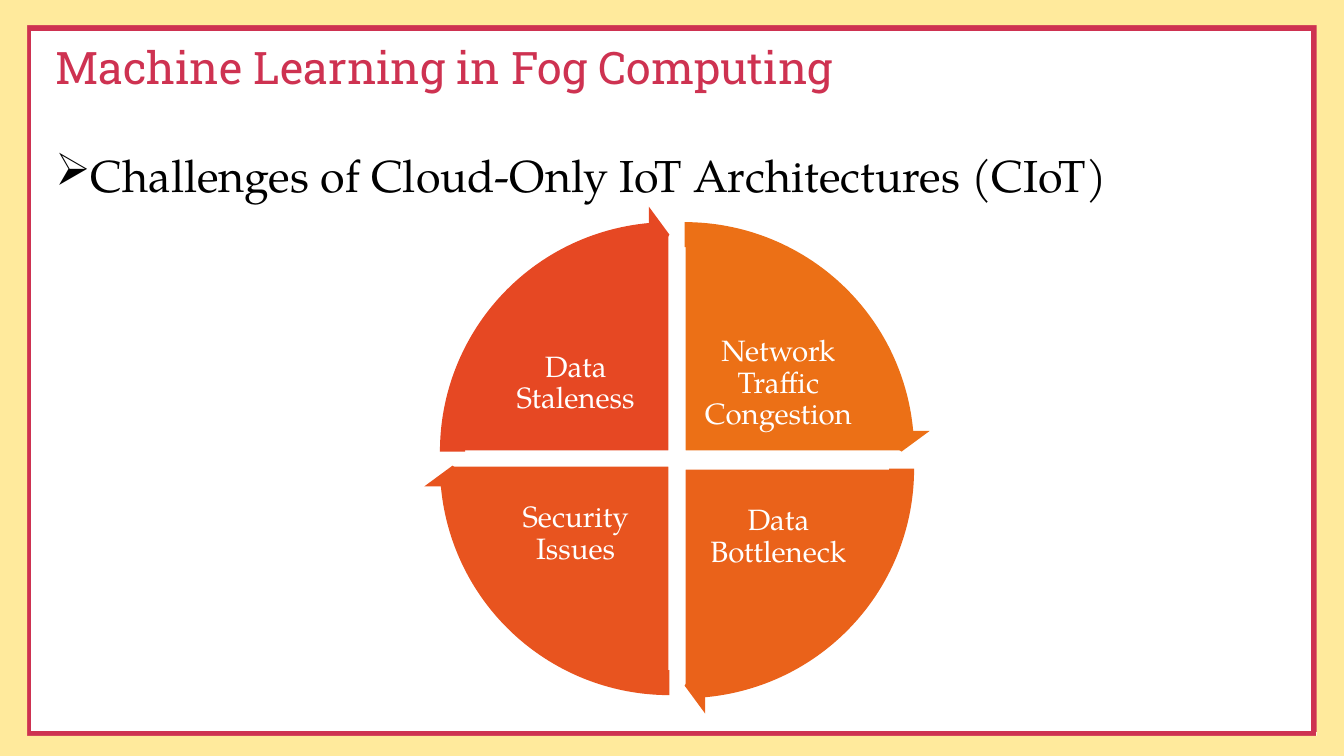
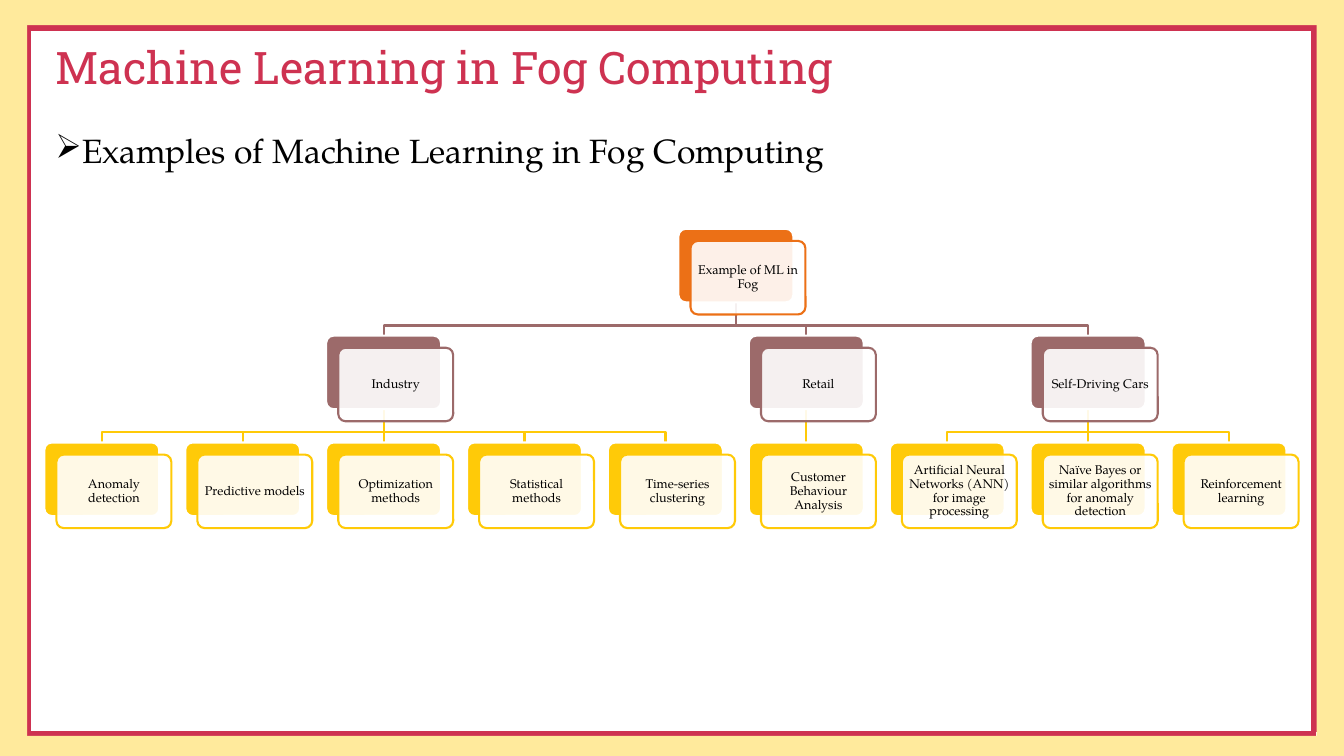
from lxml.etree import SubElement
from pptx import Presentation
from pptx.dml.color import RGBColor
from pptx.enum.shapes import MSO_CONNECTOR, MSO_SHAPE
from pptx.enum.text import MSO_ANCHOR, PP_ALIGN
from pptx.oxml.ns import qn
from pptx.util import Inches, Pt

RED, CREAM, WHITE, BLACK = "CE3251", "FFEA9C", "FFFFFF", "000000"
ORANGE, MAUVE, YELLOW = "EC7016", "9C6A6A", "FFCA08"
TITLE_FONT, BODY_FONT = "Roboto Slab", "TeX Gyre Pagella"
TITLE = "Machine Learning in Fog Computing"
WIDTH, HEIGHT = 13.33, 7.5

CENTERED = {"alignment": PP_ALIGN.CENTER, "line_spacing": 0.9}
TITLE_STYLE = {"alignment": PP_ALIGN.LEFT, "line_spacing": 0.9}
HEADING_STYLE = {"alignment": PP_ALIGN.JUSTIFY, "line_spacing": 1.5}

# Clockwise from the top right: label, colour, pie left and top, label offset
QUARTERS = [
    ("Network Traffic Congestion", "EC7016", 4.62, 2.31, 2.3, 0.9),
    ("Data Bottleneck", "EA621A", 4.62, 2.48, 2.3, 2.25),
    ("Security Issues", "E8541F", 4.47, 2.45, 0.44, 2.25),
    ("Data Staleness", "E64823", 4.47, 2.31, 0.44, 0.9),
]
QUARTER_TURN = 54
PIE_SIZE, ARROW_MARGIN = 4.34, 0.27

ROOT = "Example of ML in Fog"
BRANCHES = [
    ("Industry", ["Anomaly detection", "Predictive models", "Optimization methods",
                  "Statistical methods", "Time-series clustering"]),
    ("Retail", ["Customer Behaviour Analysis"]),
    ("Self-Driving Cars", ["Artificial Neural Networks (ANN) for image processing",
                           "Naïve Bayes or similar algorithms for anomaly detection",
                           "Reinforcement learning"]),
]
CARD_WIDTH, CARD_HEIGHT, CARD_SHIFT = 1.14, 0.73, 0.12
LEVEL_GAP, LINK_DROP = 1.06, 0.23


def color(value):
    return RGBColor.from_string(value)


def assign(target, values):
    for name, value in values.items():
        setattr(target, name, value)


def paint_line(line, value, width):
    line.color.rgb = color(value)
    line.width = Pt(width)


def add_shape(page, kind, box, fill, line=None, adjustments=()):
    shape = page.shapes.add_shape(kind, *map(Inches, box))
    shape.shadow.inherit = False
    shape.fill.solid()
    shape.fill.fore_color.rgb = color(fill)
    if line:
        paint_line(shape.line, line, 1.5)
    else:
        shape.line.fill.background()
    for index, value in enumerate(adjustments):
        shape.adjustments[index] = value
    return shape


def add_connector(page, start, end, value, width):
    connector = page.shapes.add_connector(
        MSO_CONNECTOR.STRAIGHT, *map(Inches, start + end))
    paint_line(connector.line, value, width)
    SubElement(connector.element.spPr, qn("a:effectLst"))
    return connector


def write(shape, text, font, size, value, style, anchor=MSO_ANCHOR.MIDDLE, inset=None):
    frame = shape.text_frame
    assign(frame, {"word_wrap": True, "vertical_anchor": anchor})
    if inset is not None:
        sides = ("left", "top", "right", "bottom")
        assign(frame, {f"margin_{side}": Inches(inset) for side in sides})
    para = frame.paragraphs[0]
    assign(para, style)
    span = para.add_run()
    span.text = text
    assign(span.font, {"name": font, "size": Pt(size)})
    span.font.color.rgb = color(value)
    return para


def add_text(page, box, *content, **options):
    return write(page.shapes.add_textbox(*map(Inches, box)), *content, **options)


def add_frame(page):
    """Draw the red border and the cream bands around it."""
    for start, end in [((0.26, 7.28), (13.05, 7.28)), ((0.28, 0.28), (0.28, 7.3)),
                       ((0.27, 0.28), (13.06, 0.28)), ((13.03, 0.24), (13.03, 7.26))]:
        add_connector(page, start, end, RED, 4.5)
    for box in [(0, 0, WIDTH, 0.25), (0, 7.3, WIDTH, 0.2),
                (13.06, 0.25, 0.27, 7.05), (0, 0.25, 0.27, 7.05)]:
        add_shape(page, MSO_SHAPE.RECTANGLE, box, CREAM)


def add_page(deck, heading, top, size):
    """Add a framed slide with the title and one bulleted heading."""
    page = deck.slides.add_slide(deck.slide_layouts[6])
    add_frame(page)
    add_text(page, (0.45, 0.35, 12.45, 0.69), TITLE, TITLE_FONT, 32, RED, TITLE_STYLE)
    para = add_text(page, (0.45, top, 12.45, 1), heading, BODY_FONT, size, BLACK,
                    HEADING_STYLE, anchor=MSO_ANCHOR.TOP)
    properties = para._p.get_or_add_pPr()
    properties.set("marL", str(Inches(0.25)))
    properties.set("indent", str(-Inches(0.25)))
    SubElement(properties, qn("a:buChar")).set("char", "➢")
    return page


def add_cycle(page):
    starts = [(3 + index) % 4 * QUARTER_TURN for index in range(4)]
    for start, (label, fill, left, top, shift_x, shift_y) in zip(starts, QUARTERS):
        end = (start + QUARTER_TURN) % (4 * QUARTER_TURN)
        add_shape(page, MSO_SHAPE.PIE, (left, top, PIE_SIZE, PIE_SIZE), fill, WHITE,
                  (start, end))
        add_text(page, (left + shift_x, top + shift_y, 1.6, 1.19), label,
                 BODY_FONT, 21, WHITE, CENTERED, inset=0.03)
    arrow_size = PIE_SIZE + 2 * ARROW_MARGIN
    head = 3.275
    for start, (_, fill, left, top, *_) in zip(starts, QUARTERS):
        box = (left - ARROW_MARGIN, top - ARROW_MARGIN, arrow_size, arrow_size)
        add_shape(page, MSO_SHAPE.CIRCULAR_ARROW, box, fill,
                  adjustments=(0.051, head, start + QUARTER_TURN - head, start, 0.059))


def add_card(page, left, top, label, value):
    """Draw a card with its translucent front and return the back shape."""
    size = (CARD_WIDTH, CARD_HEIGHT)
    back = add_shape(page, MSO_SHAPE.ROUNDED_RECTANGLE, (left, top, *size),
                     value, WHITE, (0.1,))
    front = add_shape(page, MSO_SHAPE.ROUNDED_RECTANGLE,
                      (left + CARD_SHIFT, top + CARD_SHIFT, *size), WHITE, value, (0.1,))
    white = front.element.spPr.find(qn("a:solidFill"))[0]
    SubElement(white, qn("a:alpha")).set("val", "90000")
    write(front, label, BODY_FONT, 9, BLACK, CENTERED, inset=0.04)
    return back


def add_link(page, parent, child, value):
    """Join two cards behind all others, with a bend if they are not in line."""
    start_x, end_x = (card.left + card.width // 2 for card in (parent, child))
    start_y = parent.top + parent.height
    if abs(start_x - end_x) < Inches(0.01):
        link = add_connector(page, (0, 0), (0, 0), value, 1.5)
        link.begin_connect(parent, 2)
        link.end_connect(child, 0)
    else:
        bend_y = start_y + Inches(LINK_DROP)
        outline = page.shapes.build_freeform(start_x, start_y)
        outline.add_line_segments(
            [(start_x, bend_y), (end_x, bend_y), (end_x, child.top)], close=False)
        link = outline.convert_to_shape()
        link.shadow.inherit = False
        link.fill.background()
        paint_line(link.line, value, 1.5)
    page.shapes.element.insert(2, link.element)


def add_tree(page, left, top, width):
    """Place leaves at equal steps and centre each parent above its children."""
    leaf_count = sum(len(leaves) for _, leaves in BRANCHES)
    step = (width - CARD_WIDTH - CARD_SHIFT) / (leaf_count - 1)
    branch_lefts, first = [], 0
    for _, leaves in BRANCHES:
        branch_lefts.append(left + step * (first + (len(leaves) - 1) / 2))
        first += len(leaves)
    root_left = (branch_lefts[0] + branch_lefts[-1]) / 2
    root = add_card(page, root_left, top, ROOT, ORANGE)
    leaf_left = left
    for branch_left, (label, leaves) in zip(branch_lefts, BRANCHES):
        branch = add_card(page, branch_left, top + LEVEL_GAP, label, MAUVE)
        add_link(page, root, branch, MAUVE)
        for leaf_label in leaves:
            leaf = add_card(page, leaf_left, top + 2 * LEVEL_GAP, leaf_label, YELLOW)
            add_link(page, branch, leaf, YELLOW)
            leaf_left += step


def main():
    deck = Presentation()
    assign(deck, {"slide_width": Inches(WIDTH), "slide_height": Inches(HEIGHT)})
    add_cycle(add_page(deck, "Challenges of Cloud-Only IoT Architectures (CIoT)", 1.15, 32))
    add_tree(add_page(deck, "Examples of Machine Learning in Fog Computing", 1.04, 24),
             0.44, 2.27, 12.44)
    deck.save("out.pptx")


if __name__ == "__main__":
    main()
